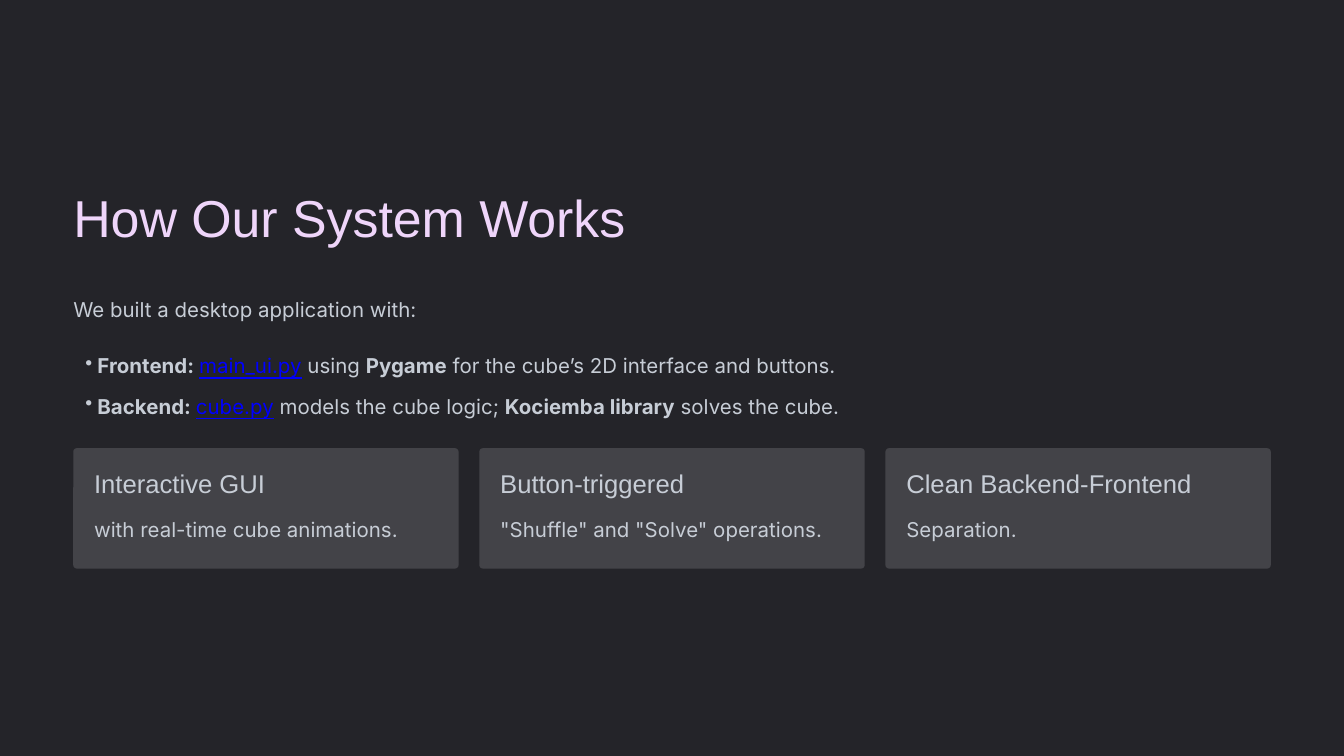
from dataclasses import dataclass

from lxml import etree
from pptx import Presentation
from pptx.dml.color import RGBColor
from pptx.enum.shapes import MSO_SHAPE
from pptx.enum.text import MSO_AUTO_SIZE
from pptx.oxml.ns import qn
from pptx.util import Inches, Pt

ROUNDED = MSO_SHAPE.ROUNDED_RECTANGLE
GROW = MSO_AUTO_SIZE.SHAPE_TO_FIT_TEXT

BACKDROP = RGBColor(0x24, 0x24, 0x29)
CARD = RGBColor(0x43, 0x43, 0x48)
LILAC = RGBColor(0xEF, 0xD5, 0xFA)
SILVER = RGBColor(0xC7, 0xCD, 0xD6)
BLUE = RGBColor(0x00, 0x00, 0xFF)

WIDTH, HEIGHT = 20, 11.25
MARGIN = 1.09
CONTENT = WIDTH - 2 * MARGIN
GAP = 0.31
RADIUS = 0.05
LINE_HEIGHT = 0.59


@dataclass
class Box:
    left: float
    top: float
    width: float
    height: float

    def inches(self):
        return [Inches(n) for n in (self.left, self.top, self.width, self.height)]


@dataclass
class Style:
    font: str
    size: float
    leading: float
    color: RGBColor


TITLE = Style("Arial", 55.6, 69.4, LILAC)
HEADING = Style("Arial", 27.5, 34.4, SILVER)
BODY = Style("Inter", 21.9, 35.6, SILVER)

BULLETS = [
    [("Frontend: ", "bold"), ("main_ui.py", "file"), (" using ", ""),
     ("Pygame", "bold"), (" for the cube’s 2D interface and buttons.", "")],
    [("Backend: ", "bold"), ("cube.py", "file"), (" models the cube logic; ", ""),
     ("Kociemba library", "bold"), (" solves the cube.", "")],
]
CARDS = [
    ("Interactive GUI", "with real-time cube animations."),
    ("Button-triggered", '"Shuffle" and "Solve" operations.'),
    ("Clean Backend-Frontend", "Separation."),
]


def add_line(page, box, style, spans):
    frame = page.shapes.add_textbox(*box.inches()).text_frame
    frame.margin_left = frame.margin_right = frame.margin_top = frame.margin_bottom = 0
    frame.word_wrap = True
    frame.auto_size = GROW
    para = frame.paragraphs[0]
    para.line_spacing = Pt(style.leading)
    for text, kind in spans:
        span = para.add_run()
        span.text = text
        span.font.name = style.font
        span.font.size = Pt(style.size)
        span.font.bold = kind == "bold"
        span.font.underline = kind == "file"
        span.font.color.rgb = BLUE if kind == "file" else style.color
    return para


def add_bullet(page, box, spans):
    para = add_line(page, box, BODY, spans)
    para.level = 1
    properties = para._p.get_or_add_pPr()
    properties.set("marL", str(Inches(0.36)))
    properties.set("indent", str(Inches(-0.18)))
    etree.SubElement(properties, qn("a:buChar")).set("char", "•")


def add_intro(page, box):
    add_line(page, Box(box.left, box.top, box.width, 1.03), TITLE,
             [("How Our System Works", "")])
    add_line(page, Box(box.left, box.top + 1.56, box.width, LINE_HEIGHT), BODY,
             [("We built a desktop application with:", "")])
    for row, spans in enumerate(BULLETS):
        top = box.top + 2.4 + row * 0.6
        add_bullet(page, Box(box.left, top, box.width, LINE_HEIGHT), spans)


def add_card(page, box, heading, detail):
    panel = page.shapes.add_shape(ROUNDED, *box.inches())
    panel.adjustments[0] = RADIUS / box.height
    panel.shadow.inherit = False
    panel.fill.solid()
    panel.fill.fore_color.rgb = CARD
    panel.line.fill.background()
    left, width = box.left + GAP, box.width - 2 * GAP
    add_line(page, Box(left, box.top + 0.27, width, 0.53), HEADING, [(heading, "")])
    add_line(page, Box(left, box.top + 0.89, width, LINE_HEIGHT), BODY, [(detail, "")])


def add_card_row(page, box):
    width = (box.width - GAP * (len(CARDS) - 1)) / len(CARDS)
    for column, (heading, detail) in enumerate(CARDS):
        left = box.left + column * (width + GAP)
        add_card(page, Box(left, box.top, width, box.height), heading, detail)


def main():
    deck = Presentation()
    deck.slide_width = Inches(WIDTH)
    deck.slide_height = Inches(HEIGHT)
    page = deck.slides.add_slide(deck.slide_layouts[6])
    page.background.fill.solid()
    page.background.fill.fore_color.rgb = BACKDROP
    add_intro(page, Box(MARGIN, 2.73, CONTENT, 3.6))
    add_card_row(page, Box(MARGIN, 6.67, CONTENT, 1.79))
    deck.save("out.pptx")


if __name__ == "__main__":
    main()
